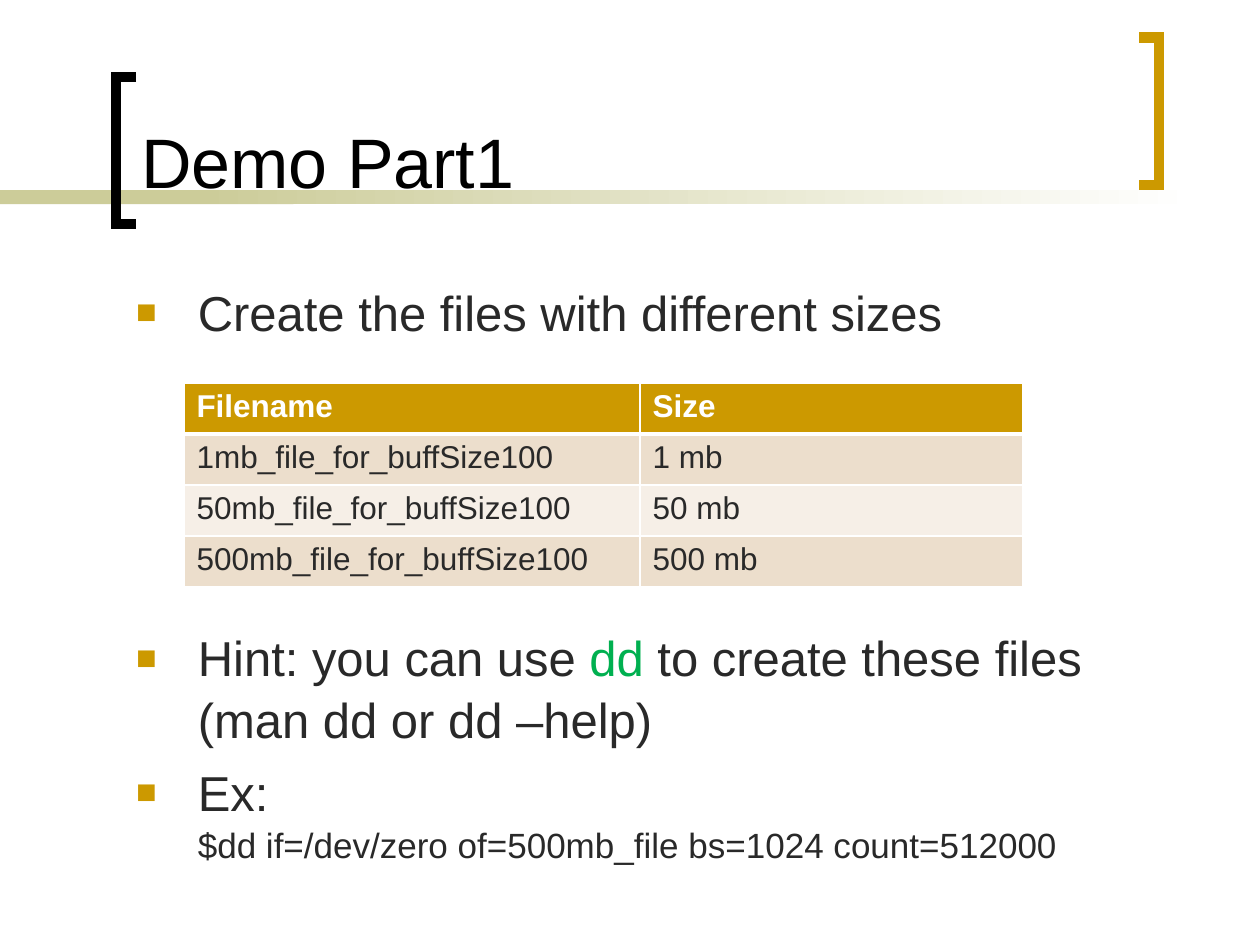
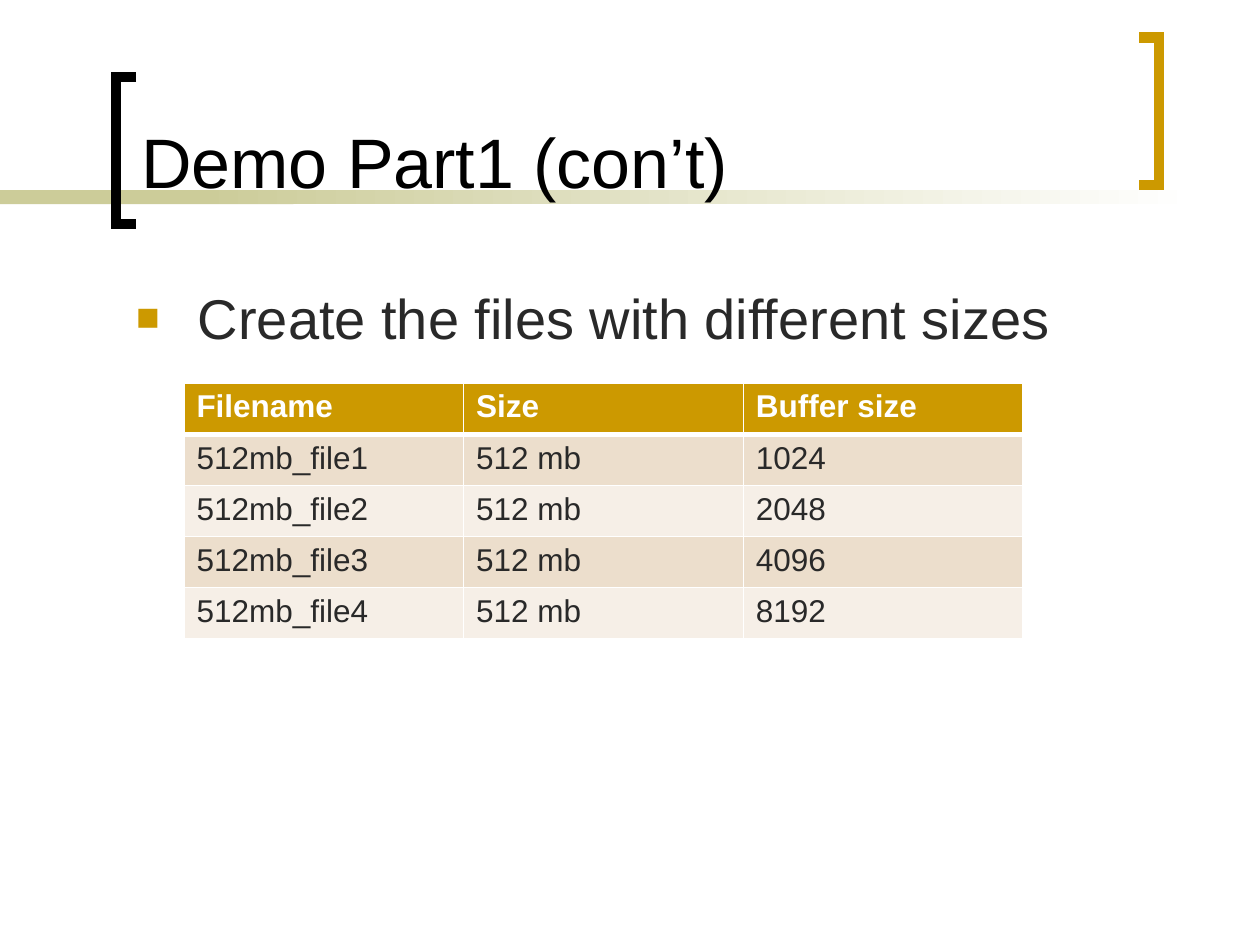
"""Build two demo slides that list test files in tables."""
import lxml.etree
import pptx
import pptx.dml.color
import pptx.enum.shapes
import pptx.enum.text
import pptx.oxml
import pptx.oxml.ns
import pptx.util

Inches = pptx.util.Inches
Pt = pptx.util.Pt

COLORS = {
    "black": "000000",
    "white": "FFFFFF",
    "gold": "CC9900",
    "band": "CCCC99",
    "text": "292929",
    "command": "00B050",
    "odd_row": "ECDECC",
    "even_row": "F6EFE7",
}
FONT = "Arial"
LIST_INDENT = 0.49
BULLET_SIZE = 70


def rgb(name):
    """Return the named colour."""
    return pptx.dml.color.RGBColor.from_string(COLORS[name])


def add_element(parent, tag, **attributes):
    """Append a drawing element to its parent."""
    element = lxml.etree.SubElement(parent, pptx.oxml.ns.qn(tag))
    for name, value in attributes.items():
        element.set(name, str(value))
    return element


def format_runs(paragraph, size, color, bold=False):
    """Format every run of a paragraph alike."""
    for run in paragraph.runs:
        run.font.name = FONT
        run.font.size = Pt(size)
        run.font.bold = bold
        run.font.color.rgb = rgb(color)


def place(shape, left, top, width, height):
    """Move and size a shape, given inches."""
    shape.left, shape.top = Inches(left), Inches(top)
    shape.width, shape.height = Inches(width), Inches(height)


def add_band(slide, left, width, fades=False):
    """Add a piece of the horizontal band under the title."""
    band = slide.shapes.add_shape(
        pptx.enum.shapes.MSO_SHAPE.RECTANGLE,
        Inches(left), Inches(1.51), Inches(width), Inches(0.11))
    band.shadow.inherit = False
    band.line.fill.background()
    if fades:
        band.fill.gradient()
        band.fill.gradient_angle = 0
        for stop, color in zip(band.fill.gradient_stops, ("band", "white")):
            stop.color.rgb = rgb(color)
    else:
        band.fill.solid()
        band.fill.fore_color.rgb = rgb("band")
    return band


def add_bracket(slide, open_x, spine_x, top, color):
    """Add a square bracket that opens towards open_x."""
    bottom = top + 1.17
    corners = [(spine_x, top), (spine_x, bottom), (open_x, bottom)]
    builder = slide.shapes.build_freeform(Inches(open_x), Inches(top))
    builder.add_line_segments(
        [(Inches(x), Inches(y)) for x, y in corners], close=False)
    bracket = builder.convert_to_shape()
    bracket.shadow.inherit = False
    bracket.fill.background()
    bracket.line.width = Pt(6)
    bracket.line.color.rgb = rgb(color)
    add_element(bracket.line._get_or_add_ln(), "a:miter", lim=800000)
    return bracket


def decorate_master(presentation, slide):
    """Draw the shared decoration and move it behind the master's text."""
    decoration = [
        add_band(slide, 0, 2.33),
        add_band(slide, 1.58, 7.92, fades=True),
        add_bracket(slide, 1.08, 0.92, 0.61, "black"),
        add_bracket(slide, 9.04, 9.2, 0.3, "gold"),
    ]
    master_tree = presentation.slide_master.shapes._spTree
    for index, shape in enumerate(decoration):
        shape._element.nvSpPr.cNvPr.set("id", str(20 + index))
        master_tree.insert(2 + index, shape._element)


def add_slide(presentation, title):
    """Add a slide with its title and placed body."""
    slide = presentation.slides.add_slide(presentation.slide_layouts[1])
    place(slide.shapes.title, 1.02, 0.11, 7.83, 1.55)
    place(slide.placeholders[1], 0.98, 2.17, 8.27, 5.05)
    for placeholder in slide.placeholders:
        placeholder.text_frame.auto_size = pptx.enum.text.MSO_AUTO_SIZE.NONE
    title_frame = slide.shapes.title.text_frame
    title_frame.text = title
    title_frame.vertical_anchor = pptx.enum.text.MSO_ANCHOR.BOTTOM
    paragraph = title_frame.paragraphs[0]
    paragraph.alignment = pptx.enum.text.PP_ALIGN.LEFT
    format_runs(paragraph, 40, "black")
    return slide


def add_bullet(slide, parts, size, space_before=None):
    """Add a bulleted paragraph made of text parts to the body."""
    frame = slide.placeholders[1].text_frame
    paragraph = frame.paragraphs[0] if not frame.text else frame.add_paragraph()
    for part in parts:
        paragraph.add_run().text = part
    format_runs(paragraph, size, "text")
    paragraph.line_spacing = 1.05
    if space_before is not None:
        paragraph.space_before = Pt(space_before)
    properties = paragraph._p.get_or_add_pPr()
    properties.set("marL", str(Inches(LIST_INDENT)))
    properties.set("indent", str(-Inches(LIST_INDENT)))
    bullet_color = add_element(properties, "a:buClr")
    add_element(bullet_color, "a:srgbClr", val=COLORS["gold"])
    add_element(properties, "a:buSzPct", val=BULLET_SIZE * 1000)
    add_element(properties, "a:buFont", typeface=FONT)
    add_element(properties, "a:buChar", char="■")
    return paragraph


def set_borders(cell, top, bottom):
    """Give a cell white borders, with top and bottom widths in points."""
    properties = cell._tc.get_or_add_tcPr()
    widths = {"a:lnL": 1, "a:lnR": 1, "a:lnT": top, "a:lnB": bottom}
    for tag, width in widths.items():
        line = add_element(properties, tag, w=Pt(width))
        fill = add_element(line, "a:solidFill")
        add_element(fill, "a:srgbClr", val=COLORS["white"])


def add_file_table(slide, rows, column_widths, height):
    """Add a table with a gold header and alternating rows."""
    table = slide.shapes.add_table(
        len(rows), len(column_widths), Inches(1.46), Inches(3.04),
        Inches(sum(column_widths)), Inches(height)).table
    for column, width in zip(table.columns, column_widths):
        column.width = Inches(width)
    for row_index, row in enumerate(rows):
        is_header = row_index == 0
        stripe = "odd_row" if row_index % 2 else "even_row"
        for column_index, text in enumerate(row):
            cell = table.cell(row_index, column_index)
            set_borders(cell, 3 if row_index == 1 else 1, 3 if is_header else 1)
            cell.fill.solid()
            cell.fill.fore_color.rgb = rgb("gold" if is_header else stripe)
            cell.text = text
            format_runs(cell.text_frame.paragraphs[0], 18,
                        "white" if is_header else "text", is_header)


def add_file_sizes_slide(presentation):
    """Add the slide with three file sizes and the hint."""
    slide = add_slide(presentation, "Demo Part1")
    decorate_master(presentation, slide)
    add_bullet(slide, ["Create the files with different sizes"], 28)
    hint = add_bullet(
        slide,
        ["Hint: you can use ", "dd", " to create these files (man dd or dd –help)"],
        28, space_before=162)
    hint.runs[1].font.color.rgb = rgb("command")
    example = add_bullet(slide, ["Ex: "], 28)
    example.add_line_break()
    command = example.add_run()
    command.text = "$dd if=/dev/zero of=500mb_file bs=1024 count=512000"
    command.font.name = FONT
    command.font.size = Pt(20)
    command.font.color.rgb = rgb("text")
    rows = [("Filename", "Size")]
    rows += [(f"{size}mb_file_for_buffSize100", f"{size} mb")
             for size in (1, 50, 500)]
    add_file_table(slide, rows, [3.62, 3.04], 1.62)


def add_buffer_sizes_slide(presentation):
    """Add the slide with four buffer sizes."""
    slide = add_slide(presentation, "Demo Part1 (con’t)")
    add_bullet(slide, ["Create the files with different sizes"], 32)
    rows = [("Filename", "Size", "Buffer size")]
    rows += [(f"512mb_file{number}", "512 mb", str(buffer_size))
             for number, buffer_size in enumerate((1024, 2048, 4096, 8192), 1)]
    add_file_table(slide, rows, [2.22] * 3, 2.03)


def main():
    """Build and save the presentation."""
    presentation = pptx.Presentation()
    presentation.slide_width = Inches(10)
    presentation.slide_height = Inches(7.5)
    add_file_sizes_slide(presentation)
    add_buffer_sizes_slide(presentation)
    presentation.save("out.pptx")


if __name__ == "__main__":
    main()
